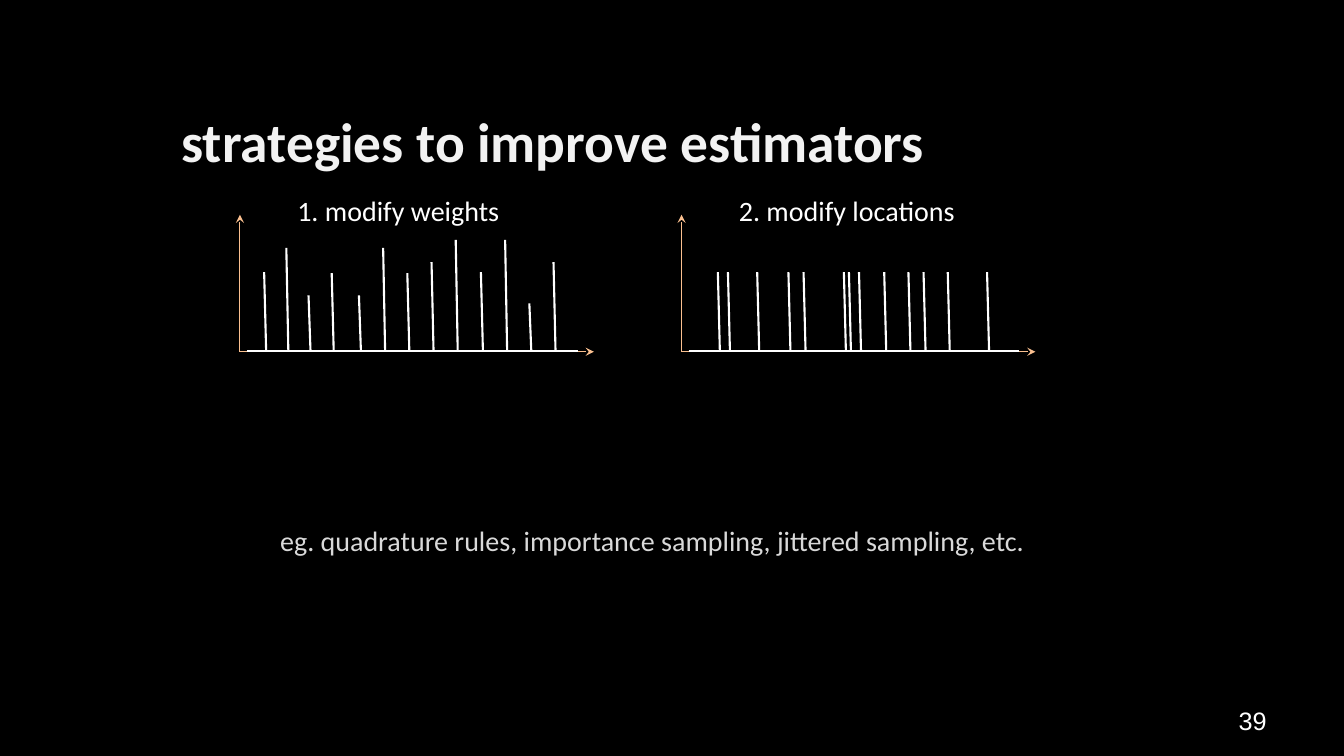
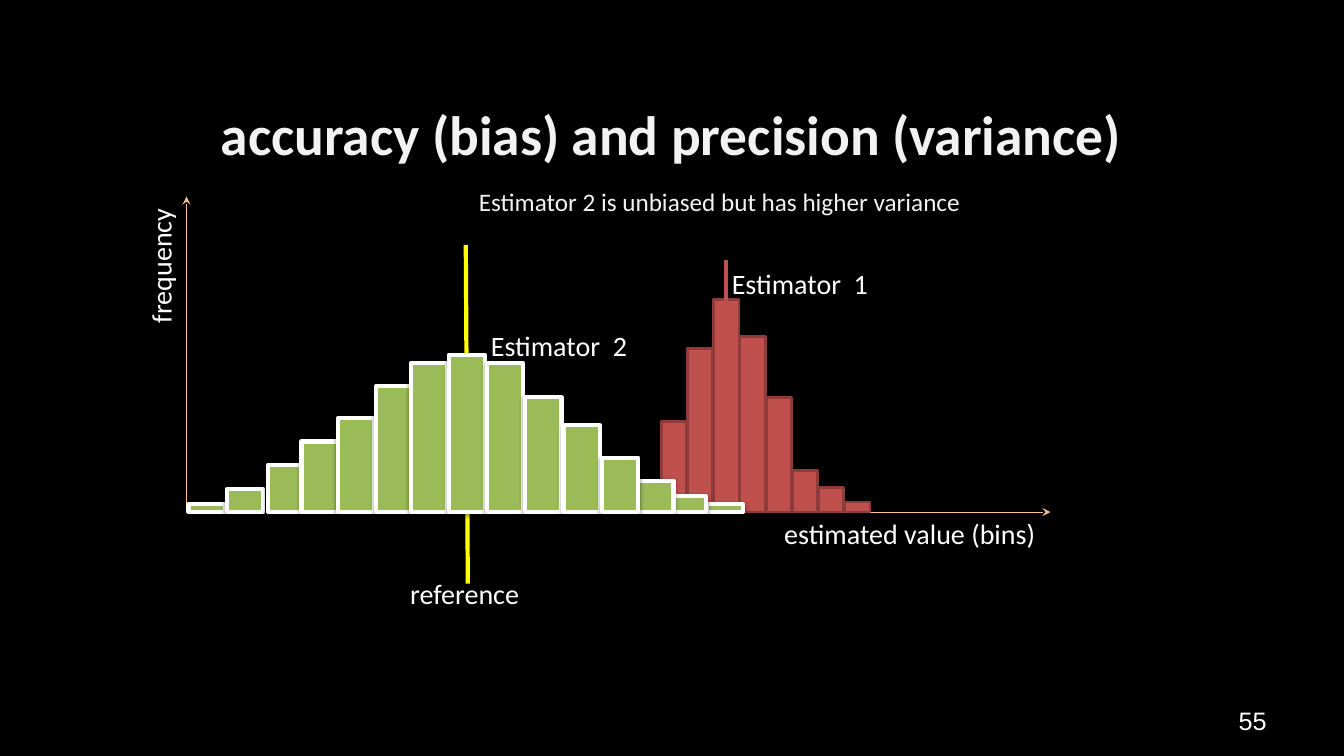
"""Builds two dark slides on estimators: sampling strategies, and bias against variance."""
import pptx
import pptx.dml.color
import pptx.enum.shapes
import pptx.enum.text
import pptx.oxml
import pptx.oxml.ns
import pptx.util

COLOURS = {
    "background": "000000", "text": "FFFFFF", "title": "F2F2F2", "note": "D9D9D9",
    "axis": "FAC090", "stem": "FFFFFF", "reference": "FFFF00",
    "red": "C0504D", "red edge": "8E3B39", "green": "9BBB59", "green edge": "FFFFFF",
}
LEFT, CENTRE, RIGHT = (pptx.enum.text.PP_ALIGN.LEFT, pptx.enum.text.PP_ALIGN.CENTER,
                       pptx.enum.text.PP_ALIGN.RIGHT)
TOP, MIDDLE = pptx.enum.text.MSO_ANCHOR.TOP, pptx.enum.text.MSO_ANCHOR.MIDDLE
STYLES = {
    "title": ({"name": "Calibri", "size": 39.6, "bold": True}, "title", CENTRE, MIDDLE),
    "label": ({"name": "Calibri", "size": 20}, "text", LEFT, TOP),
    "note": ({"name": "Calibri", "size": 20}, "note", LEFT, TOP),
    "caption": ({"name": "Calibri", "size": 18}, "title", LEFT, TOP),
    "number": ({"name": "Arial", "size": 18}, "text", RIGHT, MIDDLE),
}
NUMBER_BOX = (12.01, 6.95, 0.65, 0.4)

PANEL_BASE, STEM_LEAN, EQUAL_HEIGHT = 3.49, 0.02, 0.79
WEIGHTED_STEMS = [
    (0.26, 0.79), (0.48, 1.03), (0.7, 0.56), (0.93, 0.78), (1.2, 0.56),
    (1.44, 1.03), (1.68, 0.78), (1.92, 0.89), (2.16, 1.11), (2.41, 0.79),
    (2.65, 1.11), (2.89, 0.48), (3.13, 0.89),
]
MOVED_STEMS = [(offset, EQUAL_HEIGHT) for offset in (
    0.38, 0.48, 0.77, 1.08, 1.23, 1.63, 1.68, 1.78, 2.03, 2.27, 2.42, 2.66, 3.05)]
PANELS = [
    (2.38, "1. modify weights", 2.22, WEIGHTED_STEMS),
    (6.76, "2. modify locations", 2.37, MOVED_STEMS),
]

HISTOGRAM_BASE = 5.08
RED_START, RED_PITCH, RED_WIDTH = 6.04, 0.26, 0.25
RED_HEIGHTS = [0.1, 0.29, 0.9, 1.62, 2.11, 1.74, 1.14, 0.41, 0.24, 0.1]
RED_BARS = [(RED_START + RED_PITCH * index, height)
            for index, height in enumerate(RED_HEIGHTS)]
GREEN_WIDTH = 0.36
GREEN_BARS = [
    (1.87, 0.08), (2.25, 0.23), (2.66, 0.47), (2.99, 0.7), (3.35, 0.93),
    (3.73, 1.25), (4.08, 1.48), (4.45, 1.56), (4.83, 1.48), (5.21, 1.14),
    (5.59, 0.86), (7.01, 0.08), (6.64, 0.16), (6.32, 0.31), (5.97, 0.54),
]
HISTOGRAM_LABELS = [
    ("estimated value (bins)", (7.68, 5.08, 2.74, 0.44), "label", 0),
    ("frequency", (0.92, 2.41, 1.35, 0.44), "label", 270),
    ("reference", (3.97, 5.67, 1.31, 0.44), "label", 0),
    ("Estimator  2", (4.77, 3.21, 1.58, 0.44), "label", 0),
    ("Estimator  1", (7.16, 2.59, 1.58, 0.44), "label", 0),
    ("Estimator 2 is unbiased but has higher variance", (4.65, 1.8, 5.05, 0.4), "caption", 0),
]
SHADOW = (
    f'<a:effectLst {pptx.oxml.ns.nsdecls("a")}>'
    '<a:outerShdw blurRad="39400" dist="20300" dir="5400000" rotWithShape="0">'
    '<a:srgbClr val="000000"><a:alpha val="38000"/></a:srgbClr></a:outerShdw></a:effectLst>'
)


def colour(name):
    return pptx.dml.color.RGBColor.from_string(COLOURS[name])


def inches(values):
    return [pptx.util.Inches(value) for value in values]


def add_text(slide, text, box, style, rotation=0):
    font_values, colour_name, alignment, anchor = STYLES[style]
    shape = slide.shapes.add_textbox(*inches(box))
    shape.rotation = rotation
    frame = shape.text_frame
    frame.word_wrap = True
    frame.vertical_anchor = anchor
    paragraph = frame.paragraphs[0]
    paragraph.alignment = alignment
    run = paragraph.add_run()
    run.text = text
    for name, value in font_values.items():
        setattr(run.font, name, pptx.util.Pt(value) if name == "size" else value)
    run.font.color.rgb = colour(colour_name)


def add_line(slide, start, end, colour_name, width, arrow=False):
    connector = slide.shapes.add_connector(
        pptx.enum.shapes.MSO_CONNECTOR.STRAIGHT, *inches(start + end))
    connector.line.color.rgb = colour(colour_name)
    connector.line.width = pptx.util.Pt(width)
    properties = connector._element.spPr
    if arrow:
        properties.find(pptx.oxml.ns.qn("a:ln")).append(pptx.oxml.parse_xml(
            f'<a:tailEnd {pptx.oxml.ns.nsdecls("a")} type="stealth"/>'))
    properties.append(pptx.oxml.parse_xml(f'<a:effectLst {pptx.oxml.ns.nsdecls("a")}/>'))


def add_axis(slide, start, end):
    add_line(slide, start, end, "axis", 0.75, arrow=True)


def add_bars(slide, bars, width, name, edge_width, shadow=False):
    for left, height in bars:
        bar = slide.shapes.add_shape(
            pptx.enum.shapes.MSO_SHAPE.RECTANGLE,
            *inches((left, HISTOGRAM_BASE - height, width, height)))
        bar.fill.solid()
        bar.fill.fore_color.rgb = colour(name)
        bar.line.color.rgb = colour(f"{name} edge")
        bar.line.width = pptx.util.Pt(edge_width)
        if shadow:
            bar._element.spPr.append(pptx.oxml.parse_xml(SHADOW))
        else:
            bar.shadow.inherit = False


def add_slide(presentation, title, title_box, number):
    slide = presentation.slides.add_slide(presentation.slide_layouts[6])
    slide.background.fill.solid()
    slide.background.fill.fore_color.rgb = colour("background")
    add_text(slide, title, title_box, "title")
    add_text(slide, number, NUMBER_BOX, "number")
    return slide


def add_panel(slide, left, label, label_width, stems):
    origin = (left, PANEL_BASE)
    add_axis(slide, origin, (left, 2.13))
    add_axis(slide, origin, (left + 3.51, PANEL_BASE))
    add_line(slide, (left + 0.07, 3.48), (left + 3.35, 3.48), "stem", 1.5)
    for offset, height in stems:
        foot = left + offset
        add_line(slide, (foot, PANEL_BASE), (foot - STEM_LEAN, PANEL_BASE - height), "stem", 1.5)
    add_text(slide, label, (left + 0.47, 1.87, label_width, 0.44), "label")


def build_strategies(presentation):
    slide = add_slide(presentation, "strategies to improve estimators",
                      (1.27, 1.05, 8.43, 0.68), "39")
    for panel in PANELS:
        add_panel(slide, *panel)
    add_text(slide, "eg. quadrature rules, importance sampling, jittered sampling, etc.",
             (2.68, 5.14, 8.51, 0.44), "note")


def build_accuracy(presentation):
    slide = add_slide(presentation, "accuracy (bias) and precision (variance)",
                      (0.74, 0.98, 11.84, 0.68), "55")
    add_axis(slide, (1.85, HISTOGRAM_BASE), (1.85, 1.95))
    add_axis(slide, (2.92, HISTOGRAM_BASE), (10.42, HISTOGRAM_BASE))
    add_bars(slide, RED_BARS, RED_WIDTH, "red", 2)
    add_line(slide, (4.62, 2.43), (4.64, 5.79), "reference", 3)
    add_line(slide, (7.2, 2.58), (7.2, HISTOGRAM_BASE), "red", 3)
    add_bars(slide, GREEN_BARS, GREEN_WIDTH, "green", 3, shadow=True)
    for label in HISTOGRAM_LABELS:
        add_text(slide, *label)


def main():
    presentation = pptx.Presentation()
    presentation.slide_width, presentation.slide_height = inches((13.33, 7.5))
    build_strategies(presentation)
    build_accuracy(presentation)
    presentation.save("out.pptx")


if __name__ == "__main__":
    main()
